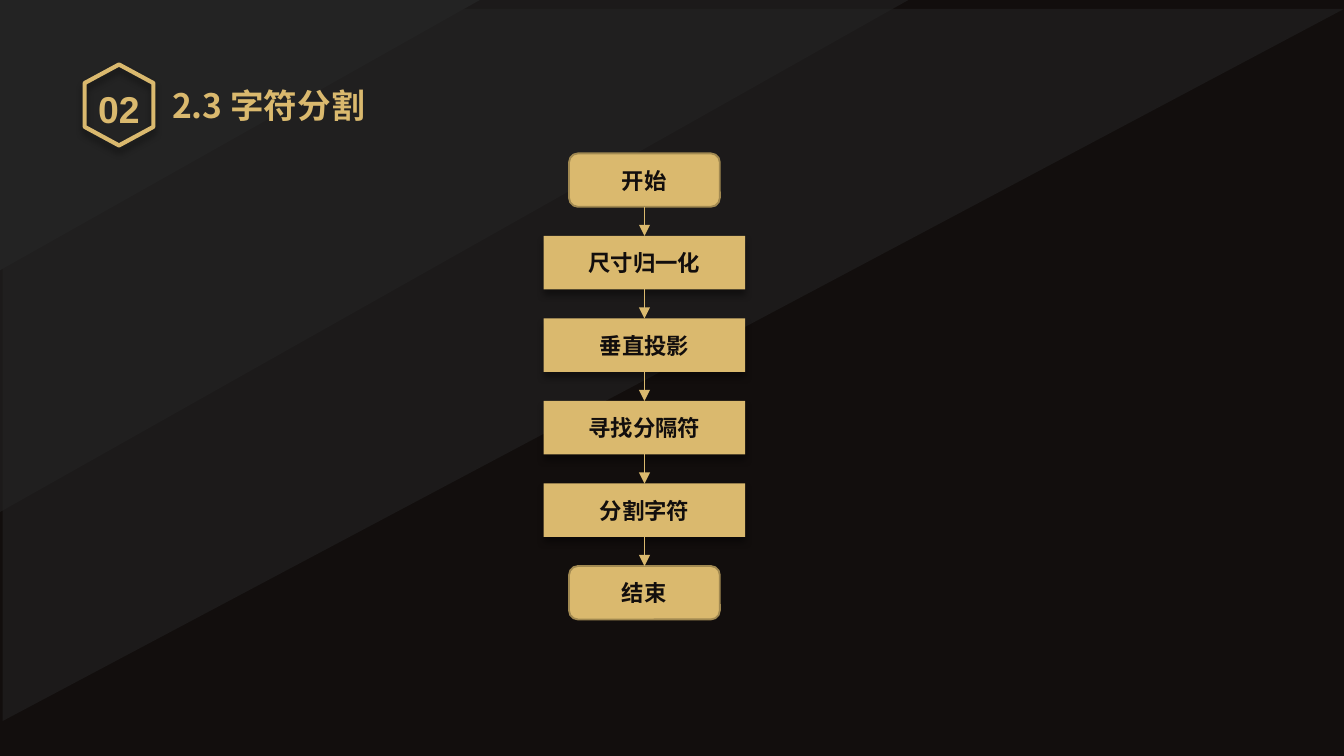
import pptx
import pptx.util
import pptx.dml.color
import pptx.enum.shapes
import pptx.enum.text
import pptx.oxml.ns
from lxml import etree

Cm = pptx.util.Cm
Pt = pptx.util.Pt
RGB = pptx.dml.color.RGBColor
Kind = pptx.enum.shapes.MSO_SHAPE
Align = pptx.enum.text.PP_ALIGN
Anchor = pptx.enum.text.MSO_ANCHOR
qn = pptx.oxml.ns.qn

DARK = RGB(0x12, 0x0E, 0x0D)
GREY = RGB(0x23, 0x23, 0x23)
GOLD = RGB(0xDA, 0xB9, 0x6E)
EDGE = RGB(0xA1, 0x89, 0x51)
SANS = "Noto Sans CJK SC"
MID = 12.18
TOP = 2.9
STEP = 1.56
HIGH = 1.01


def write(shape, text, size=12, font=SANS, color=DARK, align=Align.CENTER,
          anchor=Anchor.MIDDLE, wrap=True):
    """Put one bold formatted line of text in a shape."""
    frame = shape.text_frame
    frame.text = text
    frame.word_wrap = wrap
    frame.auto_size = pptx.enum.text.MSO_AUTO_SIZE.NONE
    frame.vertical_anchor = anchor
    para = frame.paragraphs[0]
    para.alignment = align
    run = para.runs[0]
    run.font.size = Pt(size)
    run.font.bold = True
    run.font.name = font
    run.font.color.rgb = color
    for props in shape.element.iter(qn("a:rPr")):
        etree.SubElement(props, qn("a:ea"), typeface=font)


def paint(shape, fill=None, line=None, width=1):
    """Set fill and line, and drop the theme shadow."""
    if fill is None:
        shape.fill.background()
    else:
        shape.fill.solid()
        shape.fill.fore_color.rgb = fill
    if line is None:
        shape.line.fill.background()
    else:
        shape.line.color.rgb = line
        shape.line.width = Pt(width)
    shape.shadow.inherit = False


def shade(shape):
    """Cast a soft black shadow straight down."""
    host = shape.element.spPr.find(qn("a:effectLst"))
    cast = etree.SubElement(host, qn("a:outerShdw"), blurRad=str(Pt(4)),
                            dist=str(Pt(3)), dir="5400000", algn="t",
                            rotWithShape="0")
    tint = etree.SubElement(cast, qn("a:srgbClr"), val="000000")
    etree.SubElement(tint, qn("a:alpha"), val="40000")


def wedge(slide, left, top, wide, high, alpha=100):
    """Draw a backdrop triangle with its right angle at the top left."""
    shape = slide.shapes.add_shape(
        Kind.RIGHT_TRIANGLE, Cm(left + (wide - high) / 2),
        Cm(top + (high - wide) / 2), Cm(high), Cm(wide))
    shape.rotation = 90
    paint(shape, GREY)
    if alpha < 100:
        tint = shape.element.spPr.find(qn("a:solidFill"))[0]
        etree.SubElement(tint, qn("a:alpha"), val=str(alpha * 1000))


def badge(slide, text):
    """Draw the outlined hexagon with the chapter number."""
    group = slide.shapes.add_group_shape()
    left, top, wide, high = 1.6, 1.22, 1.3, 1.53
    spots = [(1, 0.23), (1, 0.77), (0.5, 1), (0, 0.77), (0, 0.23)]
    pen = group.shapes.build_freeform(Cm(left + wide / 2), Cm(top))
    pen.add_line_segments([(Cm(left + wide * x), Cm(top + high * y))
                           for x, y in spots], close=True)
    shape = pen.convert_to_shape()
    paint(shape, line=GOLD, width=2.25)
    shade(shape)
    label = group.shapes.add_textbox(Cm(left), Cm(1.5), Cm(wide), Cm(1.11))
    write(label, text, size=20, font="Arial", color=GOLD,
          anchor=Anchor.TOP, wrap=False)


def head(slide, text):
    """Place the title above the backdrop."""
    title = slide.shapes.title
    slide.shapes.element.append(title.element)
    title.left, title.top = Cm(3), Cm(1.47)
    title.width, title.height = Cm(4.34), Cm(1.02)
    write(title, text, size=18, color=GOLD, align=Align.LEFT, wrap=False)


def node(slide, text, top, end):
    """Draw a step box, rounded and edged for a start or an end."""
    kind = Kind.FLOWCHART_ALTERNATE_PROCESS if end else Kind.RECTANGLE
    wide = 2.85 if end else 3.81
    shape = slide.shapes.add_shape(
        kind, Cm(MID - wide / 2), Cm(top), Cm(wide), Cm(HIGH))
    paint(shape, GOLD, EDGE if end else None)
    if not end:
        shade(shape)
    write(shape, text)


def arrow(slide, top, foot):
    """Draw a thin arrow down the middle of the flow."""
    link = slide.shapes.add_connector(
        pptx.enum.shapes.MSO_CONNECTOR.STRAIGHT,
        Cm(MID), Cm(top), Cm(MID), Cm(foot))
    link.line.color.rgb = GOLD
    link.line.width = Pt(0.5)
    props = link.element.spPr
    etree.SubElement(props.find(qn("a:ln")), qn("a:tailEnd"), type="triangle")
    etree.SubElement(props, qn("a:effectLst"))


def main():
    """Build the slide and save it."""
    deck = pptx.Presentation()
    deck.slide_width, deck.slide_height = Cm(25.4), Cm(14.29)
    slide = deck.slides.add_slide(deck.slide_layouts[5])
    slide.background.fill.solid()
    slide.background.fill.fore_color.rgb = DARK
    wedge(slide, 0.05, 0.17, 25.35, 13.46, alpha=60)
    wedge(slide, 0, 0, 17.17, 9.68, alpha=60)
    wedge(slide, 0, 0, 9.07, 5.11)
    head(slide, "2.3 字符分割")
    badge(slide, "02")
    steps = ["开始", "尺寸归一化", "垂直投影", "寻找分隔符", "分割字符", "结束"]
    last = len(steps) - 1
    for i, text in enumerate(steps):
        node(slide, text, TOP + i * STEP, i in (0, last))
    for i in range(last):
        top = TOP + i * STEP
        arrow(slide, top + HIGH, top + STEP)
    deck.save("out.pptx")


if __name__ == "__main__":
    main()
